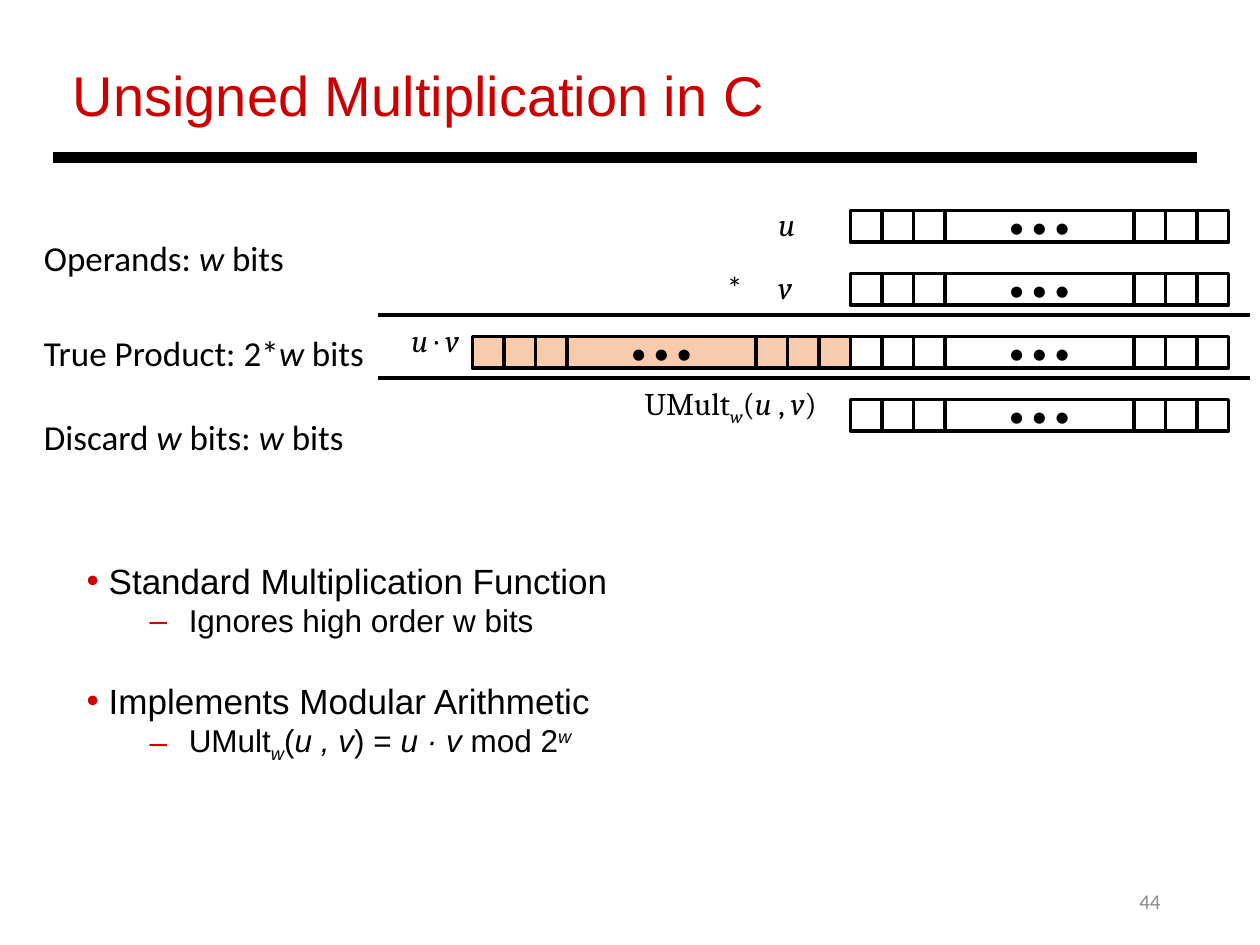
"""Build the slide on unsigned multiplication in C."""
from dataclasses import dataclass

from lxml.etree import SubElement
from pptx import Presentation
from pptx.dml.color import RGBColor as RGB
from pptx.enum.shapes import MSO_CONNECTOR as Connector, MSO_SHAPE as Shape
from pptx.enum.text import MSO_ANCHOR as Anchor, MSO_AUTO_SIZE as AutoSize, PP_ALIGN as Align
from pptx.oxml.ns import qn
from pptx.util import Inches, Pt


@dataclass(frozen=True)
class Theme:
    """Colours, fonts and type sizes."""
    red: RGB = RGB(0xCC, 0x00, 0x00)
    black: RGB = RGB(0x00, 0x00, 0x00)
    white: RGB = RGB(0xFF, 0xFF, 0xFF)
    peach: RGB = RGB(0xF8, 0xCB, 0xAD)
    gray: RGB = RGB(0x8C, 0x8C, 0x8C)
    heading: str = "Arial"
    body: str = "Calibri"
    math: str = "Cambria"
    title_size: int = 32
    large: int = 20
    medium: int = 18
    small: int = 12


THEME = Theme()
BASELINES = {"sub": "-25000", "sup": "30000"}

TITLE = [("Unsigned Multiplication in C", "")]
PAGE = [("44", "")]
W = ("w", "i")
STEPS = [
    ((0.25, 1.83, 2.13, 0.44), [("Operands: ", ""), W, (" bits", "")]),
    ((0.25, 2.58, 2.83, 0.44), [("True Product: 2*", ""), W, (" bits", "")]),
    ((0.25, 3.25, 2.67, 0.44), [("Discard ", ""), W, (" bits: ", ""), W, (" bits", "")]),
]
FORMULAS = [
    ((6.08, 1.58, 0.33, 0.4), THEME.math, Align.LEFT, [("u", "i")]),
    ((6.08, 2.08, 0.31, 0.4), THEME.math, Align.LEFT, [("v", "i")]),
    ((5.67, 2.08, 0.35, 0.4), THEME.body, Align.LEFT, [("*", "")]),
    ((3.12, 2.5, 0.62, 0.4), THEME.math, Align.RIGHT, [("u ", "i"), ("· ", ""), ("v", "i")]),
    ((5.01, 3, 1.57, 0.4), THEME.math, Align.RIGHT,
     [("UMult", ""), ("w", "i sub"), ("(", ""), ("u", "i"), (" , ", ""), ("v", "i"), (")", "")]),
]
POINTS = [
    ([(" Standard Multiplication Function", "")], [("Ignores high order w bits", "")]),
    ([(" Implements Modular Arithmetic", "")],
     [("UMult", ""), ("w", "i sub"), ("(", ""), ("u , v", "i"), (") = ", ""),
      ("u · v", "i"), (" mod 2", ""), ("w", "i sup")]),
]
DOTS = [("•\u00a0•\u00a0•", "")]

BIT = 0.25
END_BITS = 3
MIDDLE = 6 * BIT
WORD = 2 * END_BITS * BIT + MIDDLE
LOW_LEFT = 6.75
ROW_TOP, ROW_STEP = 1.67, 0.5
WORDS = [(LOW_LEFT, row, THEME.white) for row in range(4)]
WORDS.append((LOW_LEFT - WORD, 2, THEME.peach))
RULES = [(0.42, 9.5, 1.25, 6), (3, 9.92, 2.5, 2), (3, 9.92, 3, 2)]


def add_runs(paragraph, runs, font, size, color=THEME.black):
    for text, style in runs:
        run = paragraph.add_run()
        run.text = text
        run.font.name, run.font.size = font, Pt(size)
        run.font.color.rgb = color
        run.font.italic = "i" in style.split()
        for name, shift in BASELINES.items():
            if name in style:
                run.font._element.set("baseline", shift)


def add_text(slide, place, runs, font, size, color=THEME.black, align=Align.LEFT):
    frame = slide.shapes.add_textbox(*map(Inches, place)).text_frame
    frame.word_wrap = False
    frame.auto_size = AutoSize.SHAPE_TO_FIT_TEXT
    frame.paragraphs[0].alignment = align
    add_runs(frame.paragraphs[0], runs, font, size, color)
    return frame


def add_bullet(paragraph, mark, left=0, indent=0):
    properties = paragraph._p.get_or_add_pPr()
    properties.set("marL", str(Inches(left)))
    properties.set("indent", str(Inches(indent)))
    color = SubElement(properties, qn("a:buClr"))
    SubElement(color, qn("a:srgbClr"), val=str(THEME.red))
    SubElement(properties, qn("a:buFont"), typeface=THEME.heading)
    SubElement(properties, qn("a:buChar"), char=mark)


def add_points(slide):
    frame = slide.shapes.add_textbox(*map(Inches, (0.59, 4.39, 8.97, 1.72))).text_frame
    frame.word_wrap = True
    for number, (point, detail) in enumerate(POINTS):
        main = frame.add_paragraph() if number else frame.paragraphs[0]
        add_bullet(main, "•")
        if number:
            main.space_before = Pt(23)
        add_runs(main, point, THEME.heading, THEME.large)
        sub = frame.add_paragraph()
        sub.level = 1
        add_bullet(sub, "–", 0.81, -0.31)
        add_runs(sub, detail, THEME.heading, THEME.medium)


def add_cell(group, left, top, width, fill):
    cell = group.shapes.add_shape(Shape.RECTANGLE, *map(Inches, (left, top, width, BIT)))
    cell.shadow.inherit = False
    cell.fill.solid()
    cell.fill.fore_color.rgb = fill
    cell.line.color.rgb = THEME.black
    cell.line.width = Pt(2)
    return cell


def add_word(slide, left, row, fill):
    group = slide.shapes.add_group_shape()
    top = ROW_TOP + row * ROW_STEP
    middle_left = left + END_BITS * BIT
    for start in (left, middle_left + MIDDLE):
        for bit in range(END_BITS):
            add_cell(group, start + bit * BIT, top, BIT, fill)
    frame = add_cell(group, middle_left, top, MIDDLE, fill).text_frame
    frame.word_wrap = False
    frame.vertical_anchor = Anchor.MIDDLE
    frame.paragraphs[0].alignment = Align.CENTER
    add_runs(frame.paragraphs[0], DOTS, THEME.body, THEME.medium)


def add_rule(slide, left, right, top, weight):
    rule = slide.shapes.add_connector(Connector.STRAIGHT, *map(Inches, (left, top, right, top)))
    rule.line.color.rgb = THEME.black
    rule.line.width = Pt(weight)
    SubElement(rule._element.spPr, qn("a:effectLst"))


def main():
    deck = Presentation()
    deck.slide_width, deck.slide_height = Inches(10), Inches(7.5)
    slide = deck.slides.add_slide(deck.slide_layouts[6])

    page = add_text(slide, (7.06, 6.95, 2.25, 0.4), PAGE, THEME.body, THEME.small,
                    THEME.gray, Align.RIGHT)
    page.auto_size, page.word_wrap = AutoSize.NONE, True
    page.vertical_anchor = Anchor.MIDDLE
    add_text(slide, (0.48, 0.43, 5.73, 0.64), TITLE, THEME.heading, THEME.title_size, THEME.red)
    add_points(slide)
    for rule in RULES:
        add_rule(slide, *rule)
    for word in WORDS:
        add_word(slide, *word)
    for place, font, align, runs in FORMULAS:
        add_text(slide, place, runs, font, THEME.medium, align=align)
    for place, runs in STEPS:
        add_text(slide, place, runs, THEME.body, THEME.large)
    deck.save("out.pptx")


if __name__ == "__main__":
    main()
